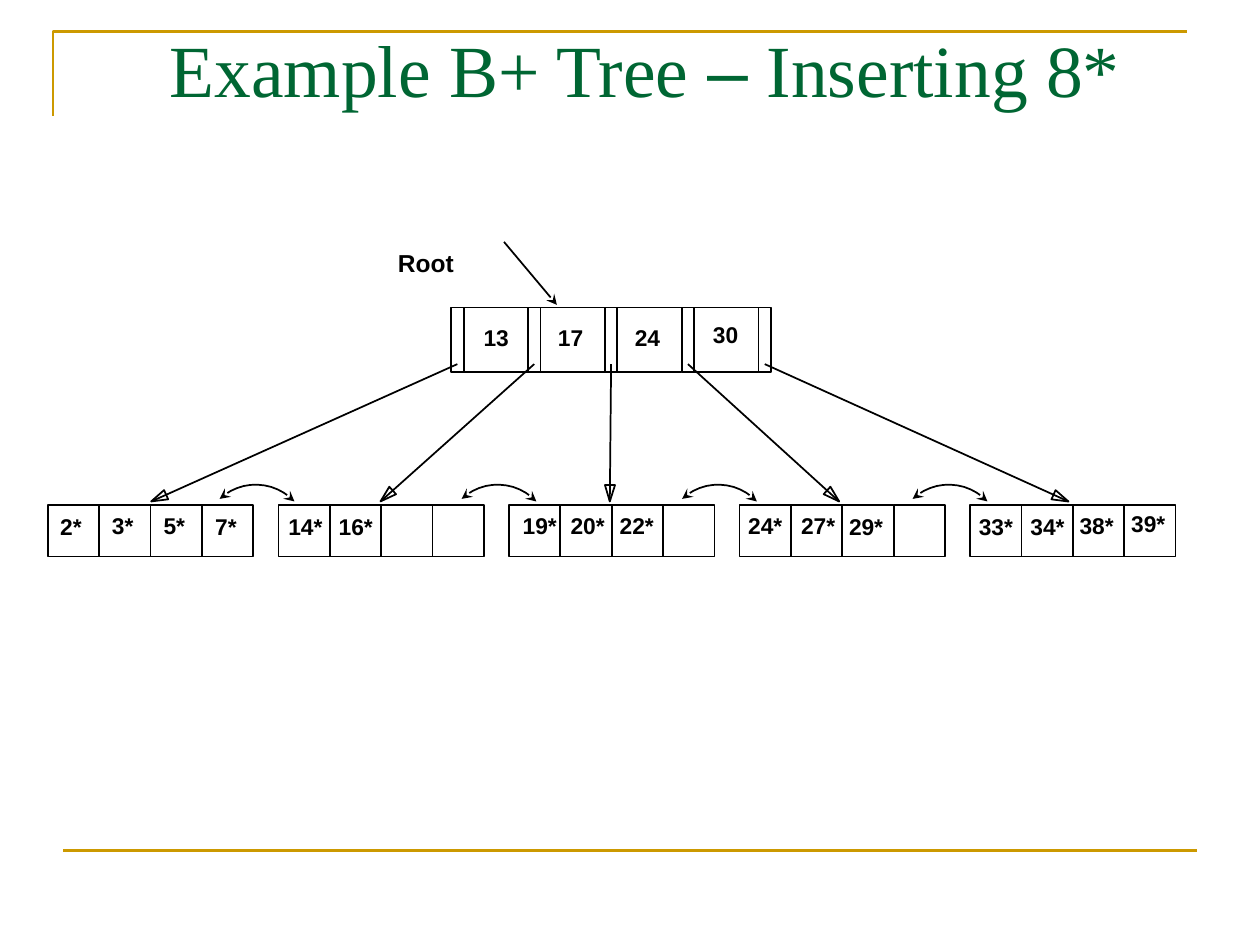
from math import atan2, cos, pi, sin

from lxml import etree
from pptx import Presentation
from pptx.dml.color import RGBColor
from pptx.enum.shapes import MSO_CONNECTOR, MSO_SHAPE
from pptx.enum.text import MSO_ANCHOR
from pptx.oxml.ns import qn
from pptx.util import Inches, Pt

STRAIGHT = MSO_CONNECTOR.STRAIGHT
RECTANGLE = MSO_SHAPE.RECTANGLE
MIDDLE, TOP = MSO_ANCHOR.MIDDLE, MSO_ANCHOR.TOP
GOLD = RGBColor(0xCC, 0x99, 0x00)
GREEN = RGBColor(0x00, 0x66, 0x33)
BLACK = RGBColor(0x00, 0x00, 0x00)

TITLE = [("Example B+ Tree ", "Times New Roman"), ("–", "Arial"),
         (" Inserting 8*", "Times New Roman")]
ROOT_KEYS = [("13", 3.74, 2.52), ("17", 4.33, 2.52), ("24", 4.94, 2.52), ("30", 5.56, 2.5)]
LEAF_ENTRIES = [
    ("2*", 0.38, 4.02), ("3*", 0.79, 4.01), ("5*", 1.2, 4.01), ("7*", 1.61, 4.02),
    ("14*", 2.19, 4.02), ("16*", 2.59, 4.02),
    ("19*", 4.05, 4.01), ("20*", 4.43, 4.01), ("22*", 4.82, 4.01),
    ("24*", 5.84, 4.01), ("27*", 6.26, 4.01), ("29*", 6.64, 4.02),
    ("33*", 7.67, 4.02), ("34*", 8.08, 4.02), ("38*", 8.47, 4.01), ("39*", 8.88, 4),
]
SIBLING_LINK_LEFTS = [1.83, 3.75, 5.5, 7.33]

CHILDREN, SLOTS = 5, 4
ROOT_LEFT, ROOT_TOP, ROOT_HEIGHT = 3.58, 2.44, 0.51
KEY_WIDTH, STRIP = 0.61, 0.1
LEAF_LEFT, LEAF_TOP, LEAF_WIDTH, LEAF_PITCH = 0.38, 4.01, 1.63, 1.83
CELL = LEAF_WIDTH / SLOTS
POINTER_TOP, POINTER_BOTTOM = 2.89, 3.98
TARGET_LEFT, TARGET_PITCH = 1.2, 1.82
HEAD_LENGTH, HEAD_HALF_WIDTH = 0.13, 0.04
LINK_TOP, LINK_RADIUS, LINK_STEPS = 3.76, 0.42, 12

deck = Presentation()
deck.slide_width, deck.slide_height = Inches(10), Inches(7.5)
page = deck.slides.add_slide(deck.slide_layouts[6])


def set_line(shape, color=BLACK, width=1, ends=()):
    shape.line.color.rgb = color
    shape.line.width = Pt(width)
    for end in ends:
        etree.SubElement(shape.line._get_or_add_ln(), qn(f"a:{end}"), type="stealth")


def add_line(x1, y1, x2, y2, **look):
    line = page.shapes.add_connector(STRAIGHT, *map(Inches, (x1, y1, x2, y2)))
    set_line(line, **look)
    etree.SubElement(line._element.spPr, qn("a:effectLst"))


def finish_outline(shape, **look):
    shape.fill.background()
    shape.shadow.inherit = False
    set_line(shape, **look)
    return shape


def add_cell(left, top, width, height):
    finish_outline(page.shapes.add_shape(RECTANGLE, *map(Inches, (left, top, width, height))))


def add_outline(points, close=False, **look):
    corners = [(Inches(x), Inches(y)) for x, y in points]
    builder = page.shapes.build_freeform(*corners[0])
    builder.add_line_segments(corners[1:], close=close)
    return finish_outline(builder.convert_to_shape(), **look)


def add_text(spans, left, top, width, height, size=13, color=BLACK, bold=False,
             wrap=False, anchor=TOP):
    box = page.shapes.add_textbox(*map(Inches, (left, top, width, height)))
    box.text_frame.word_wrap = wrap
    box.text_frame.vertical_anchor = anchor
    para = box.text_frame.paragraphs[0]
    for text, font in spans:
        span = para.add_run()
        span.text = text
        span.font.name, span.font.size = font, Pt(size)
        span.font.bold, span.font.color.rgb = bold, color


def add_pointer(x1, y1, x2, y2):
    add_line(x1, y1, x2, y2)
    angle = atan2(y2 - y1, x2 - x1)
    back_x, back_y = x2 - HEAD_LENGTH * cos(angle), y2 - HEAD_LENGTH * sin(angle)
    side_x, side_y = -HEAD_HALF_WIDTH * sin(angle), HEAD_HALF_WIDTH * cos(angle)
    add_outline([(x2, y2), (back_x + side_x, back_y + side_y),
                 (back_x - side_x, back_y - side_y)], close=True)


def add_sibling_link(left):
    angles = [pi / 2 * step / LINK_STEPS for step in range(LINK_STEPS + 1)]
    link = add_outline([(left + LINK_RADIUS * sin(angle),
                         LINK_TOP + LINK_RADIUS * (1 - cos(angle))) for angle in angles],
                       ends=("headEnd", "tailEnd"))
    link.rotation = 317


add_outline([(0.42, 0.92), (0.42, 0.25), (9.42, 0.25)], color=GOLD, width=1.5)
add_line(0.5, 6.75, 9.5, 6.75, color=GOLD, width=1.5)
add_text(TITLE, 1.25, 0.25, 8.5, 0.58, size=42, color=GREEN, wrap=True, anchor=MIDDLE)

for slot in range(SLOTS):
    left = ROOT_LEFT + slot * KEY_WIDTH
    add_cell(left, ROOT_TOP, KEY_WIDTH, ROOT_HEIGHT)
    add_line(left + STRIP, ROOT_TOP, left + STRIP, ROOT_TOP + ROOT_HEIGHT)
add_cell(ROOT_LEFT + SLOTS * KEY_WIDTH, ROOT_TOP, STRIP, ROOT_HEIGHT)

for child in range(CHILDREN):
    for slot in range(SLOTS):
        add_cell(LEAF_LEFT + child * LEAF_PITCH + slot * CELL, LEAF_TOP, CELL, CELL)
    add_pointer(ROOT_LEFT + STRIP / 2 + child * KEY_WIDTH, POINTER_TOP,
                TARGET_LEFT + child * TARGET_PITCH, POINTER_BOTTOM)

add_text([("Root", "Arial")], 3.06, 1.92, 0.65, 0.33, size=14, bold=True)
for text, left, top in ROOT_KEYS + LEAF_ENTRIES:
    stars = text.count("*")
    width = 0.2 + 0.1 * (len(text) - stars) + 0.07 * stars
    add_text([(text, "Arial")], left, top, width, 0.32, bold=True)

add_line(4, 1.92, 4.42, 2.42, ends=("tailEnd",))
for left in SIBLING_LINK_LEFTS:
    add_sibling_link(left)

deck.save("out.pptx")
